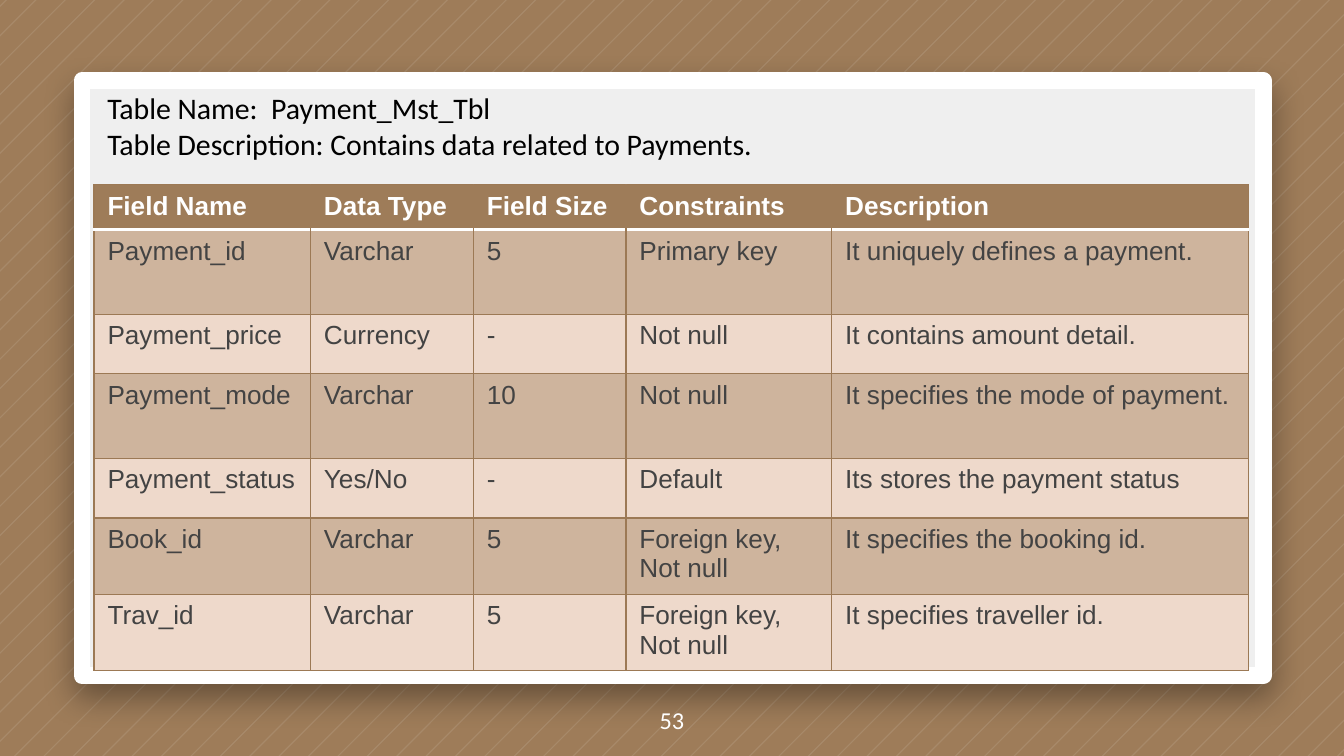
"""Build the Payment_Mst_Tbl data dictionary slide."""
from dataclasses import dataclass
from typing import NamedTuple

from lxml import etree
from pptx import Presentation
from pptx import util as u
from pptx.dml.color import RGBColor
from pptx.enum import shapes, text
from pptx.oxml import ns

SCALE = 1905
WIDTH, HEIGHT = 4800, 2700


@dataclass(frozen=True)
class Theme:
    brown: str = "9E7C59"
    border: str = "9C7955"
    dark_band: str = "CEB49D"
    light_band: str = "EED9CB"
    panel: str = "EFEFEF"
    white: str = "FFFFFF"
    black: str = "000000"
    body: str = "434343"
    heading_font: str = "Calibri"
    table_font: str = "Arial"
    heading_size: int = 16
    table_size: int = 14
    number_size: int = 13


class Box(NamedTuple):
    left: int
    top: int
    width: int
    height: int

    def emu(self) -> list[int]:
        return [px(length) for length in self]


class Field(NamedTuple):
    name: str
    data_type: str
    size: str
    constraints: str
    description: str


class Edge(NamedTuple):
    side: str
    colour: str
    points: float


THEME = Theme()
HEADER = Field("Field Name", "Data Type", "Field Size", "Constraints", "Description")
FIELDS = [
    Field("Payment_id", "Varchar", "5", "Primary key", "It uniquely defines a payment."),
    Field("Payment_price", "Currency", "-", "Not null", "It contains amount detail."),
    Field("Payment_mode", "Varchar", "10", "Not null", "It specifies the mode of payment."),
    Field("Payment_status", "Yes/No", "-", "Default", "Its stores the payment status"),
    Field("Book_id", "Varchar", "5", "Foreign key,\nNot null", "It specifies the booking id."),
    Field("Trav_id", "Varchar", "5", "Foreign key,\nNot null", "It specifies traveller id."),
]
COLUMN_WIDTHS = [773, 582, 545, 735, 1488]
ROW_HEIGHTS = [151, 302, 213, 302, 213, 252, 252]


def px(length: int) -> int:
    return length * SCALE


def rgb(colour: str) -> RGBColor:
    return RGBColor.from_string(colour)


def add_xml(parent, tag: str, **attributes):
    return etree.SubElement(parent, ns.qn(tag), attributes)


def fill_solid(item, colour: str) -> None:
    item.fill.solid()
    item.fill.fore_color.rgb = rgb(colour)


def write_text(frame, content: str, *, size: int, font: str, colour: str,
               bold: bool = False, align=text.PP_ALIGN.LEFT) -> None:
    frame.word_wrap = True
    frame.text = content
    for paragraph in frame.paragraphs:
        paragraph.alignment = align
        paragraph.font.size = u.Pt(size)
        paragraph.font.name = font
        paragraph.font.bold = bold
        paragraph.font.color.rgb = rgb(colour)


def draw_stripes(slide, first: int = 20, pitch: int = 105, thickness: int = 6) -> None:
    def upper(total: int) -> tuple[int, int]:
        return min(total, WIDTH), max(0, total - WIDTH)

    def lower(total: int) -> tuple[int, int]:
        return max(0, total - HEIGHT), min(total, HEIGHT)

    builder = slide.shapes.build_freeform(*upper(first), scale=SCALE)
    for start in range(first, WIDTH + HEIGHT, pitch):
        end = start + thickness
        if start > first:
            builder.move_to(*upper(start))
        builder.add_line_segments([lower(start), lower(end), upper(end)], close=True)
    stripes = builder.convert_to_shape()
    stripes.shadow.inherit = False
    stripes.line.fill.background()
    fill_solid(stripes, THEME.white)
    colour = stripes.fill._xPr.find(ns.qn("a:solidFill"))[0]
    add_xml(colour, "a:alpha", val="10000")


def draw_panel(slide, box: Box) -> None:
    panel = slide.shapes.add_shape(shapes.MSO_SHAPE.RECTANGLE, *box.emu())
    fill_solid(panel, THEME.panel)
    panel.line.color.rgb = rgb(THEME.white)
    panel.line.width = u.Pt(9)
    panel.shadow.inherit = False
    effects = panel._element.spPr.find(ns.qn("a:effectLst"))
    shadow = add_xml(effects, "a:outerShdw", blurRad=str(u.Pt(16.9)),
                     dist=str(u.Pt(7.5)), dir="5400000", algn="t", rotWithShape="0")
    add_xml(add_xml(shadow, "a:srgbClr", val=THEME.black), "a:alpha", val="35000")


def draw_edges(cell, edges: list[Edge]) -> None:
    properties = cell._tc.get_or_add_tcPr()
    for edge in edges:
        line = add_xml(properties, f"a:ln{edge.side}", w=str(u.Pt(edge.points)))
        add_xml(add_xml(line, "a:solidFill"), "a:srgbClr", val=edge.colour)


def draw_field(table, row: int, field: Field) -> None:
    header = row == 0
    band = THEME.brown if header else THEME.dark_band if row % 2 else THEME.light_band
    rule = (THEME.white, 2)
    thin = (THEME.border, 0.75)
    for column, content in enumerate(field):
        cell = table.cell(row, column)
        draw_edges(cell, [
            Edge("L", *((THEME.brown, 0.75) if header and column else thin)),
            Edge("R", *((THEME.brown, 0.75) if header and column < 4 else thin)),
            Edge("T", *(rule if row == 1 else thin)),
            Edge("B", *(rule if header else thin)),
        ])
        fill_solid(cell, band)
        write_text(cell.text_frame, content, size=THEME.table_size, font=THEME.table_font,
                   colour=THEME.white if header else THEME.body, bold=header)


def draw_table(slide, left: int, top: int) -> None:
    box = Box(left, top, sum(COLUMN_WIDTHS), sum(ROW_HEIGHTS))
    table = slide.shapes.add_table(len(ROW_HEIGHTS), len(COLUMN_WIDTHS), *box.emu()).table
    for column, width in zip(table.columns, COLUMN_WIDTHS):
        column.width = px(width)
    for row, height in zip(table.rows, ROW_HEIGHTS):
        row.height = px(height)
    for row, field in enumerate([HEADER, *FIELDS]):
        draw_field(table, row, field)


def main() -> None:
    deck = Presentation()
    deck.slide_width, deck.slide_height = px(WIDTH), px(HEIGHT)
    slide = deck.slides.add_slide(deck.slide_layouts[6])
    fill_solid(slide.background, THEME.brown)
    draw_stripes(slide)
    draw_panel(slide, Box(293, 288, 4219, 2414 - 288))

    number = slide.shapes.add_textbox(*Box(0, 2440, WIDTH, 260).emu()).text_frame
    number.vertical_anchor = text.MSO_ANCHOR.MIDDLE
    write_text(number, "53", size=THEME.number_size, font=THEME.heading_font,
               colour=THEME.white, align=text.PP_ALIGN.CENTER)

    draw_table(slide, 336, 660)
    heading = slide.shapes.add_textbox(*Box(336, 298, 4022, 307).emu()).text_frame
    write_text(heading, "Table Name:  Payment_Mst_Tbl\n"
               "Table Description: Contains data related to Payments.",
               size=THEME.heading_size, font=THEME.heading_font, colour=THEME.black)
    deck.save("out.pptx")


if __name__ == "__main__":
    main()
